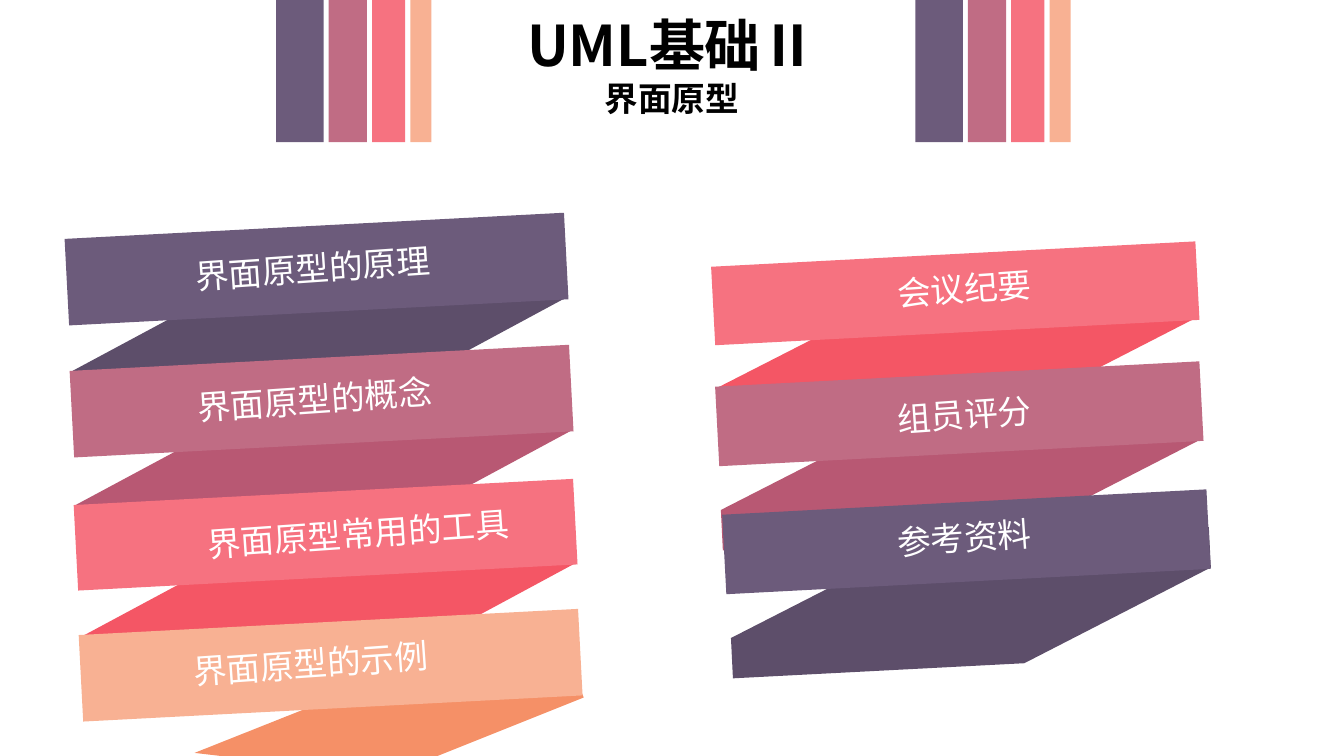
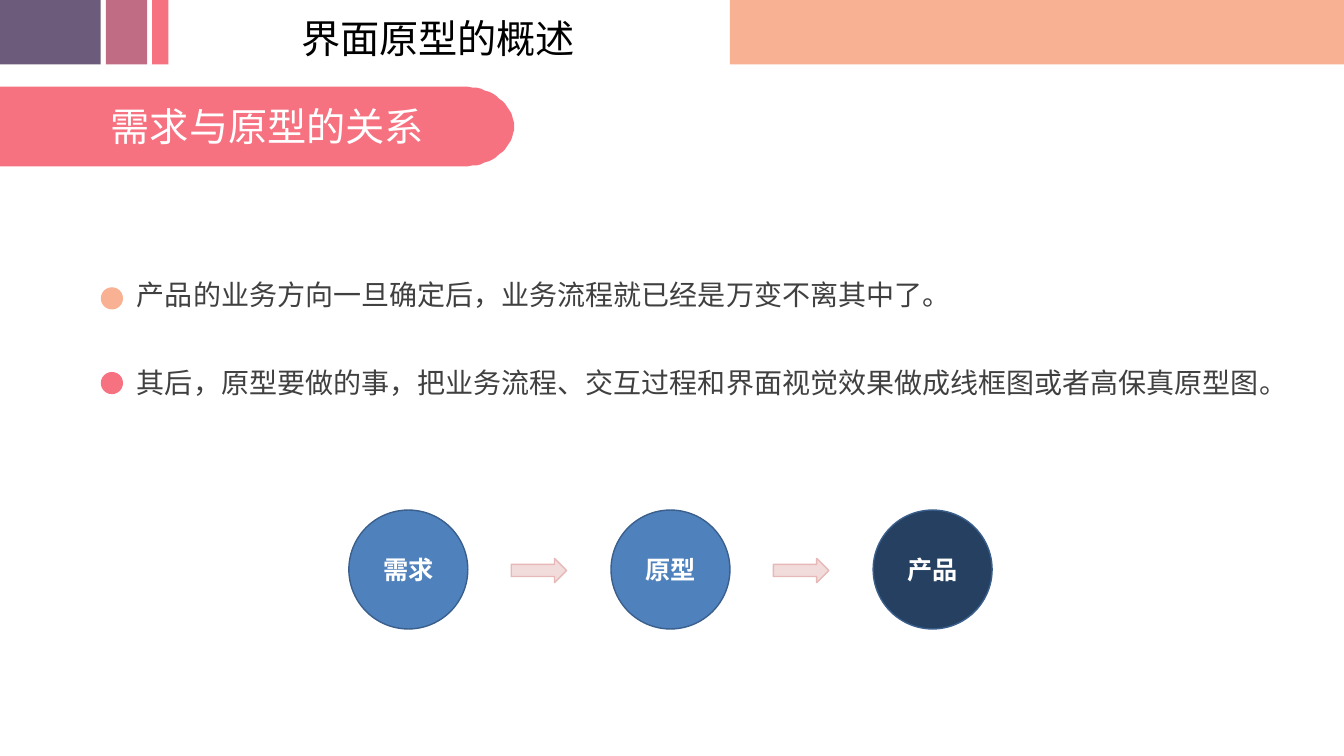
import math

import lxml.etree
import pptx
import pptx.dml.color
import pptx.enum.shapes
import pptx.enum.text
import pptx.oxml.ns
import pptx.util

RGBColor = pptx.dml.color.RGBColor
SHAPE = pptx.enum.shapes.MSO_SHAPE
ALIGN = pptx.enum.text.PP_ALIGN
ANCHOR = pptx.enum.text.MSO_ANCHOR

PX = 9144
WIDTH, HEIGHT = 1333, 750
STRIP_GAP = 5
FONT = "Noto Sans CJK SC"

PURPLE = RGBColor(0x6C, 0x5B, 0x7B)
MAUVE = RGBColor(0xC0, 0x6C, 0x84)
CORAL = RGBColor(0xF6, 0x72, 0x80)
PEACH = RGBColor(0xF8, 0xB1, 0x93)
DARK_PURPLE = RGBColor(0x5D, 0x4E, 0x6A)
DARK_MAUVE = RGBColor(0xB8, 0x58, 0x73)
DARK_CORAL = RGBColor(0xF4, 0x56, 0x65)
DARK_PEACH = RGBColor(0xF5, 0x90, 0x67)
BLUE = RGBColor(0x4F, 0x81, 0xBD)
NAVY = RGBColor(0x25, 0x40, 0x61)
BLUE_LINE = RGBColor(0x3A, 0x5F, 0x8C)
PINK = RGBColor(0xF2, 0xDC, 0xDB)
PINK_LINE = RGBColor(0xE6, 0xB9, 0xB8)
BLACK = RGBColor(0, 0, 0)
GREY = RGBColor(0x40, 0x40, 0x40)
WHITE = RGBColor(0xFF, 0xFF, 0xFF)
PALETTE = (PURPLE, MAUVE, CORAL, PEACH)

TITLE = {"size": pptx.util.Pt(40), "bold": True, "name": FONT}
SUBTITLE = {"size": pptx.util.Pt(24), "bold": True, "name": FONT}
LABEL = {"size": pptx.util.Pt(24), "name": FONT}
HEADING = {"size": pptx.util.Pt(28), "name": FONT}
BODY = {"size": pptx.util.Pt(20), "name": FONT}
STEP = {"size": pptx.util.Pt(18), "bold": True, "name": "Calibri"}

LEFT_FOLD = ((0, 118), (192, 15), (489, 0), (492, 44), (301, 147), (3, 162))
RIGHT_FOLD = ((0, 110), (186, 15), (474, 0), (476, 40), (291, 135), (2, 150))
TAIL = ((193, 747), (545, 607), (579, 692), (434, 750), (219, 750))


def px(*values):
    """Turn pixel lengths into EMU."""
    return [pptx.util.Emu(value * PX) for value in values]


def paint(shape, fill, line=None):
    """Give a shape a flat fill, an optional outline and no shadow."""
    shape.shadow.inherit = False
    shape.fill.solid()
    shape.fill.fore_color.rgb = fill
    if line is None:
        shape.line.fill.background()
    else:
        shape.line.color.rgb = line
        shape.line.width = pptx.util.Pt(1)
    return shape


def add_preset(slide, kind, box, fill, line=None, rotation=0):
    """Add a painted preset shape."""
    shape = slide.shapes.add_shape(kind, *px(*box))
    shape.rotation = rotation
    return paint(shape, fill, line)


def add_outline(slide, points, fill):
    """Add a painted closed polygon."""
    builder = slide.shapes.build_freeform(*points[0], scale=PX)
    builder.add_line_segments(points[1:], close=True)
    return paint(builder.convert_to_shape(), fill)


def write(frame, lines, color, align=ALIGN.CENTER, spacing=None):
    """Fill a text frame with (text, font format) paragraphs."""
    for index, (text, font_format) in enumerate(lines):
        paragraph = frame.add_paragraph() if index else frame.paragraphs[0]
        paragraph_format = {"alignment": align}
        if spacing:
            paragraph_format["line_spacing"] = spacing["line"]
            if index:
                paragraph_format["space_before"] = spacing["before"]
        for name, value in paragraph_format.items():
            setattr(paragraph, name, value)
        run = paragraph.add_run()
        run.text = text
        for name, value in font_format.items():
            setattr(run.font, name, value)
        run.font.color.rgb = color
        east_asian = lxml.etree.SubElement(
            run.font._element, pptx.oxml.ns.qn("a:ea"))
        east_asian.set("typeface", FONT)


def add_text(slide, box, lines, color, **options):
    """Add a wrapping text box."""
    shape = slide.shapes.add_textbox(*px(*box))
    shape.text_frame.word_wrap = True
    write(shape.text_frame, lines, color, **options)
    return shape


def add_strip(slide, left, widths, height):
    """Add evenly spaced palette bars hanging from the top edge."""
    for width, color in zip(widths, PALETTE):
        add_preset(slide, SHAPE.RECTANGLE, (left, 0, width, height), color)
        left += width + STRIP_GAP


def add_ribbon(slide, fold, folds, banners, labels):
    """Add a zigzag ribbon: folds behind tilted banners with labels."""
    for left, top, color in folds:
        add_outline(slide, [(left + x, top + y) for x, y in fold], color)
    for *box, color in banners:
        add_preset(slide, SHAPE.RECTANGLE, box, color, rotation=357)
    for left, top, width, text in labels:
        shape = add_text(slide, (left, top, width, 50), [(text, LABEL)], WHITE)
        shape.rotation = 356
        shape.text_frame.margin_left = shape.text_frame.margin_right = 0


def add_pill(slide, top, center_x, radius_x, radius_y, color):
    """Add a band from the left edge that ends in a half ellipse."""
    middle = top + radius_y
    angles = [math.radians(degree) for degree in range(-90, 91, 5)]
    arc = [(center_x + radius_x * math.cos(angle),
            middle + radius_y * math.sin(angle)) for angle in angles]
    add_outline(slide, [(0, top), *arc, (0, top + 2 * radius_y)], color)


def build_contents(slide):
    """Build the contents slide with two ribbons."""
    for left in (274, 908):
        add_strip(slide, left, (47, 38, 33, 21), 141)
    add_text(slide, (438, 6, 457, 118),
             [("UML基础Ⅱ", TITLE), ("界面原型", SUBTITLE)], BLACK)
    add_outline(slide, TAIL, DARK_PEACH)
    add_ribbon(
        slide, LEFT_FOLD,
        [(70, 251, DARK_PURPLE), (75, 383, DARK_MAUVE), (80, 514, DARK_CORAL)],
        [(66, 224, 496, 86, PURPLE), (71, 355, 496, 86, MAUVE),
         (75, 488, 496, 85, CORAL), (80, 617, 496, 86, PEACH)],
        [(182, 241, 256, "界面原型的原理"), (184, 371, 256, "界面原型的概念"),
         (194, 504, 322, "界面原型常用的工具"), (180, 633, 256, "界面原型的示例")])
    add_ribbon(
        slide, RIGHT_FOLD,
        [(725, 523, DARK_PURPLE), (715, 396, DARK_MAUVE), (711, 275, DARK_CORAL)],
        [(718, 498, 481, 79, PURPLE), (711, 371, 481, 79, MAUVE),
         (707, 252, 481, 78, CORAL)],
        [(880, 508, 153, "参考资料"), (880, 386, 153, "组员评分"),
         (880, 261, 153, "会议纪要")])


def build_overview(slide):
    """Build the slide on how requirements relate to the prototype."""
    add_preset(slide, SHAPE.RECTANGLE, (724, 0, WIDTH - 724, 64), PEACH)
    add_strip(slide, 0, (100, 41, 16), 64)
    add_text(slide, (244, 9, 381, 104), [("界面原型的概述", HEADING)], BLACK)
    add_pill(slide, 86, 460, 50, 39.5, CORAL)
    add_text(slide, (100, 97, 335, 57), [("需求与原型的关系", HEADING)], WHITE,
             align=ALIGN.LEFT)
    add_text(slide, (126, 274, 1185, 157),
             [("产品的业务方向一旦确定后，业务流程就已经是万变不离其中了。", BODY),
              ("其后，原型要做的事，把业务流程、交互过程和界面视觉效果做成线框图或者高保真原型图。", BODY)],
             GREY, align=ALIGN.LEFT,
             spacing={"line": 0.9, "before": pptx.util.Pt(41.5)})
    for top, color in ((285, PEACH), (369, CORAL)):
        add_preset(slide, SHAPE.OVAL, (100, top, 22, 22), color)
    steps = (("需求", BLUE), ("原型", BLUE), ("产品", NAVY))
    for index, (text, color) in enumerate(steps):
        offset = 260 * index
        circle = add_preset(slide, SHAPE.OVAL, (346 + offset, 506, 118, 118),
                            color, BLUE_LINE)
        circle.text_frame.vertical_anchor = ANCHOR.MIDDLE
        write(circle.text_frame, [(text, STEP)], WHITE)
        if index < len(steps) - 1:
            add_preset(slide, SHAPE.RIGHT_ARROW, (507 + offset, 554, 55, 24),
                       PINK, PINK_LINE)


def main():
    """Build and save the presentation."""
    presentation = pptx.Presentation()
    presentation.slide_width, presentation.slide_height = px(WIDTH, HEIGHT)
    for build in (build_contents, build_overview):
        build(presentation.slides.add_slide(presentation.slide_layouts[6]))
    presentation.save("out.pptx")


if __name__ == "__main__":
    main()
